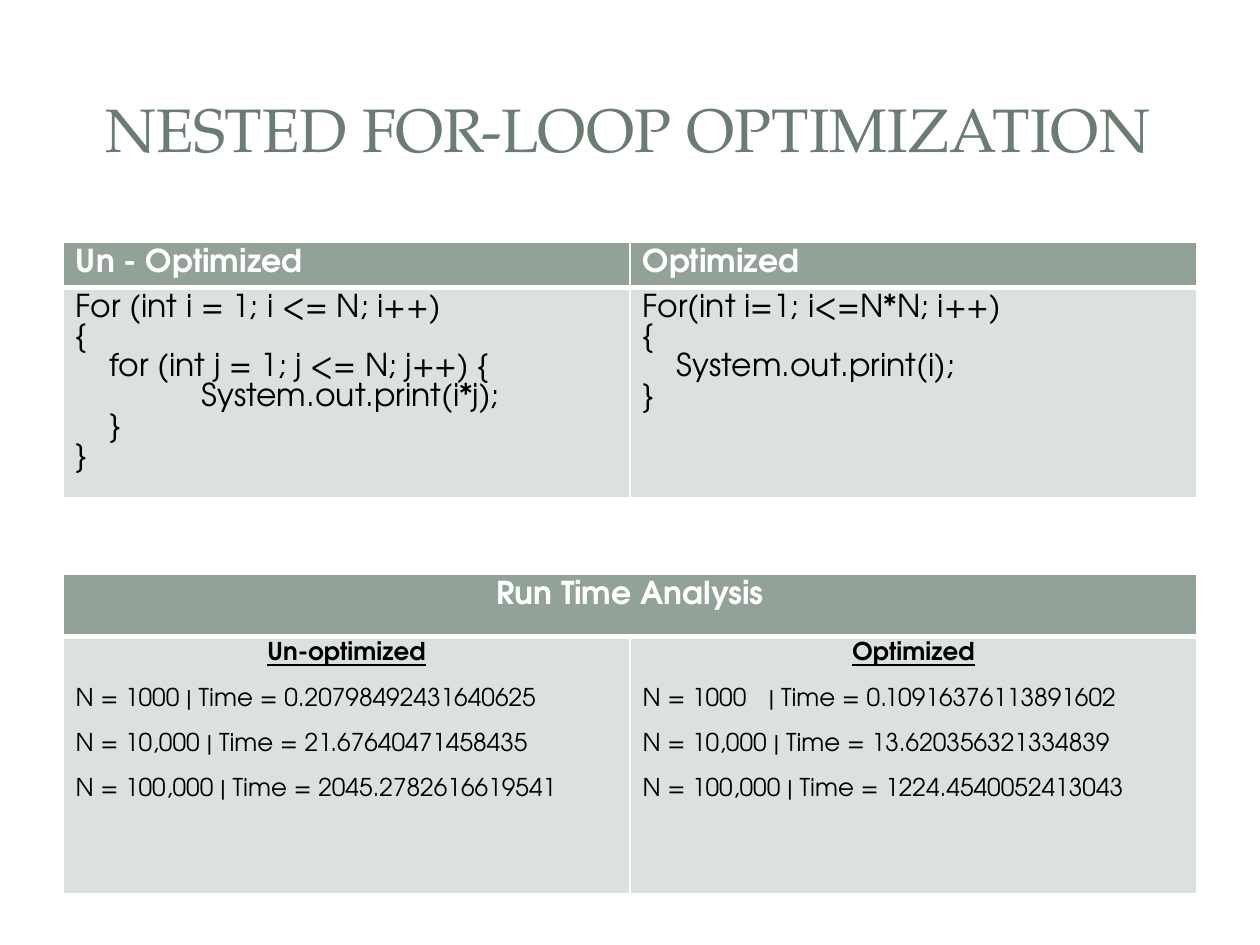
from lxml.etree import fromstring
from pptx import Presentation
from pptx.dml.color import RGBColor
from pptx.enum.shapes import MSO_SHAPE
from pptx.enum.text import MSO_ANCHOR, PP_ALIGN
from pptx.oxml.ns import nsdecls
from pptx.util import Inches, Pt

SANS = "TeX Gyre Adventor"


def style(para, size, color, bold=False, font=SANS):
    for run in para.runs:
        run.font.name = font
        run.font.size = Pt(size)
        run.font.bold = bold
        run.font.color.rgb = RGBColor.from_string(color)


def add_grid(top, heights):
    """Two-column table with a green head row and white cell borders."""
    frame = slide.shapes.add_table(2, 2, Inches(0.5), Inches(top),
                                   Inches(9), Inches(sum(heights)))
    table = frame.table
    for row, height in zip(table.rows, heights):
        row.height = Inches(height)
    for r in range(2):
        for c in range(2):
            cell = table.cell(r, c)
            cell.fill.solid()
            cell.fill.fore_color.rgb = RGBColor.from_string(["93A299", "DCE0DE"][r])
            # The line between head and body is thicker
            thick = "lnT" if r else "lnB"
            for i, side in enumerate(["lnL", "lnR", "lnT", "lnB"]):
                width = Pt(3 if side == thick else 1)
                line = fromstring(
                    f'<a:{side} {nsdecls("a")} w="{width}"><a:solidFill>'
                    f'<a:srgbClr val="FFFFFF"/></a:solidFill></a:{side}>')
                cell._tc.get_or_add_tcPr().insert(i, line)
    return table


prs = Presentation()
prs.slide_width, prs.slide_height = Inches(10), Inches(7.5)
slide = prs.slides.add_slide(prs.slide_layouts[6])

# White panels: page, title band, inner title band
panels = [
    (MSO_SHAPE.ROUNDED_RECTANGLE, 0.1, 0.11, 9.8, 7.29),
    (MSO_SHAPE.RECTANGLE, 0.3, 0.3, 9.4, 1.45),
    (MSO_SHAPE.RECTANGLE, 0.41, 0.41, 9.17, 1.22),
]
for kind, *place in panels:
    panel = slide.shapes.add_shape(kind, *map(Inches, place))
    panel.shadow.inherit = False
    panel.fill.solid()
    panel.fill.fore_color.rgb = RGBColor.from_string("FFFFFF")
    panel.line.fill.background()
    if kind == MSO_SHAPE.ROUNDED_RECTANGLE:
        panel.adjustments[0] = 0.02

# Title
box = slide.shapes.add_textbox(Inches(0.47), Inches(0.45), Inches(9.03), Inches(1.14))
frame = box.text_frame
frame.word_wrap = True
frame.vertical_anchor = MSO_ANCHOR.MIDDLE
frame.text = "NESTED FOR-LOOP OPTIMIZATION"
frame.paragraphs[0].alignment = PP_ALIGN.CENTER
style(frame.paragraphs[0], 35, "6B7D72", font="TeX Gyre Pagella")

# Code table: each line has its indent in inches
code = [
    ("Un - Optimized", [
        (0, "For (int i = 1; i <= N; i++)"),
        (0, "{"),
        (0.27, "for (int j = 1; j <= N; j++) {"),
        (1, "System.out.print(i*j);"),
        (0.27, "}"),
        (0, "}")]),
    ("Optimized", [
        (0, "For(int i=1; i<=N*N; i++)"),
        (0, "{"),
        (0.27, "System.out.print(i);"),
        (0, "}")]),
]
table = add_grid(1.92, [0.36, 1.67])
for c, (title, lines) in enumerate(code):
    head = table.cell(0, c).text_frame
    head.text = title
    head.paragraphs[0].line_spacing = Pt(17)
    style(head.paragraphs[0], 18, "FFFFFF", True)
    frame = table.cell(1, c).text_frame
    frame.text = "\n".join(text for _, text in lines)
    for para, (indent, _) in zip(frame.paragraphs, lines):
        para._p.get_or_add_pPr().set("marL", str(Inches(indent)))
        para.line_spacing = Pt(17)
        style(para, 18, "000000")

# Run time table
times = [
    ["Un-optimized",
     "N = 1000 | Time = 0.20798492431640625",
     "N = 10,000 | Time = 21.67640471458435",
     "N = 100,000 | Time = 2045.2782616619541"],
    ["Optimized",
     "N = 1000 \t| Time = 0.10916376113891602",
     "N = 10,000 | Time = 13.620356321334839",
     "N = 100,000 | Time = 1224.4540052413043"],
]
table = add_grid(4.56, [0.49, 2.04])
head = table.cell(0, 0)
head.merge(table.cell(0, 1))
head.text_frame.text = "Run Time Analysis"
head.text_frame.paragraphs[0].alignment = PP_ALIGN.CENTER
style(head.text_frame.paragraphs[0], 18, "FFFFFF", True)
for c, lines in enumerate(times):
    frame = table.cell(1, c).text_frame
    frame.text = "\n".join(lines)
    for i, para in enumerate(frame.paragraphs):
        style(para, 14, "000000", i == 0)
        para.space_after = Pt(13)
    first = frame.paragraphs[0]
    first.alignment = PP_ALIGN.CENTER
    first.runs[0].font.underline = True

prs.save("out.pptx")
